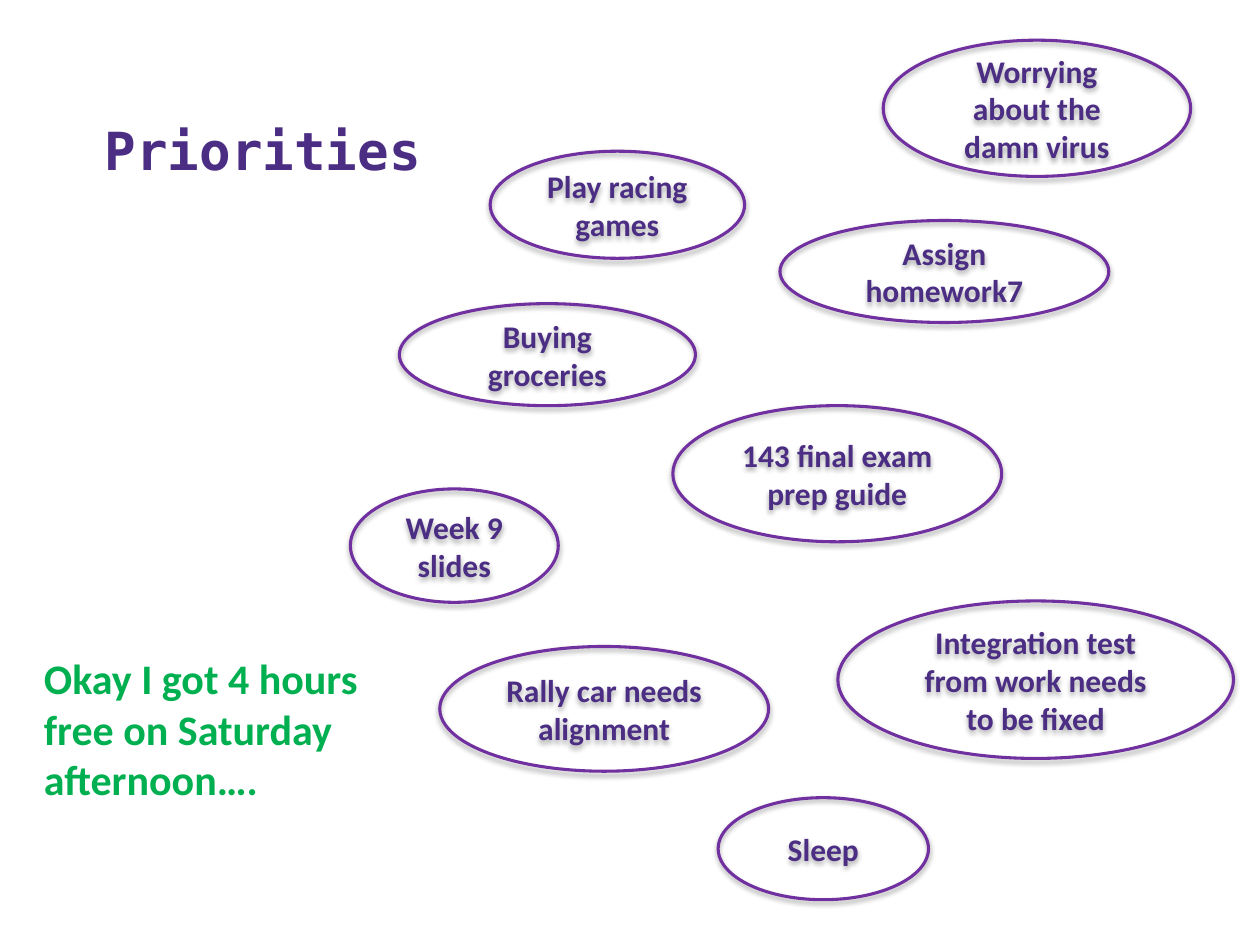
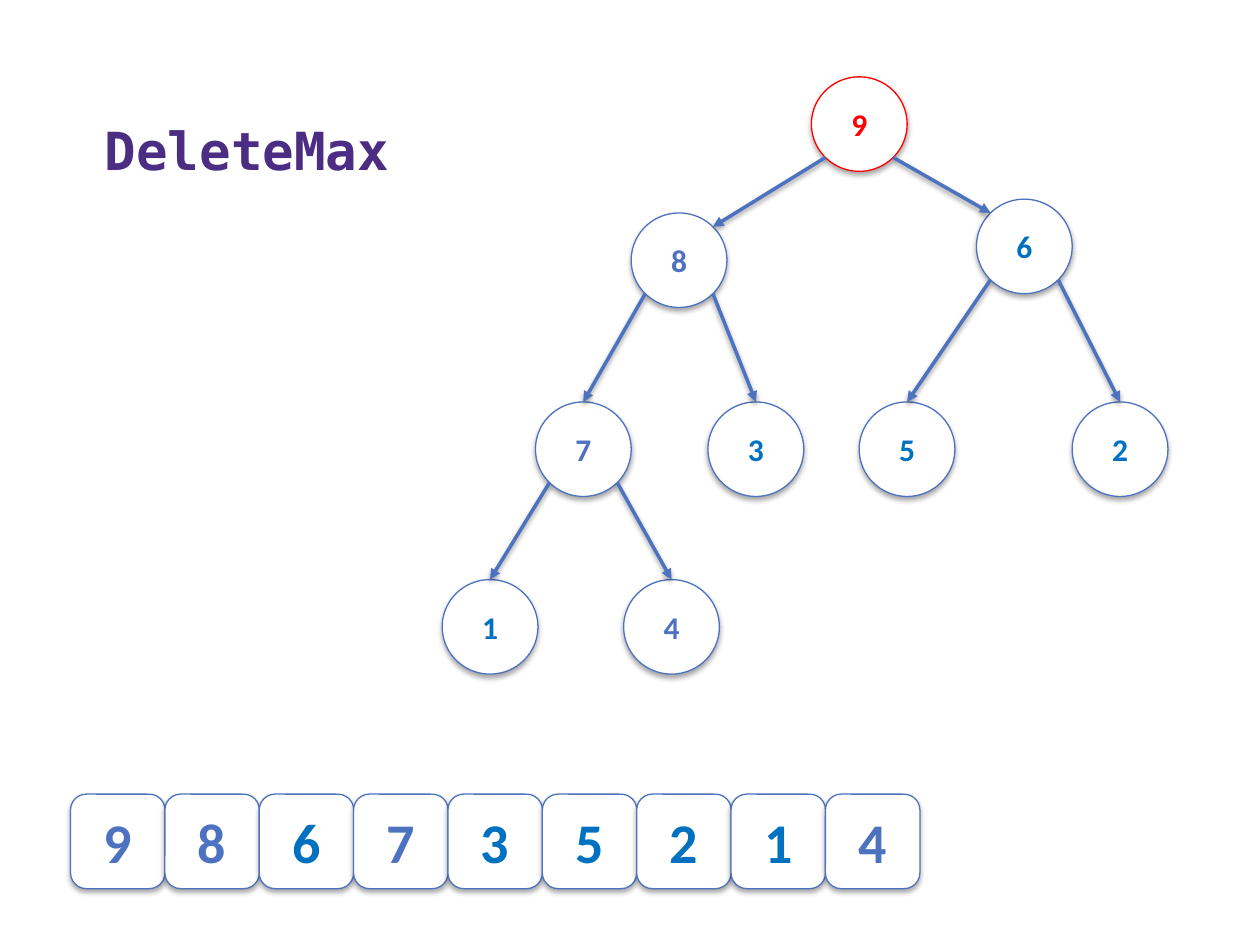
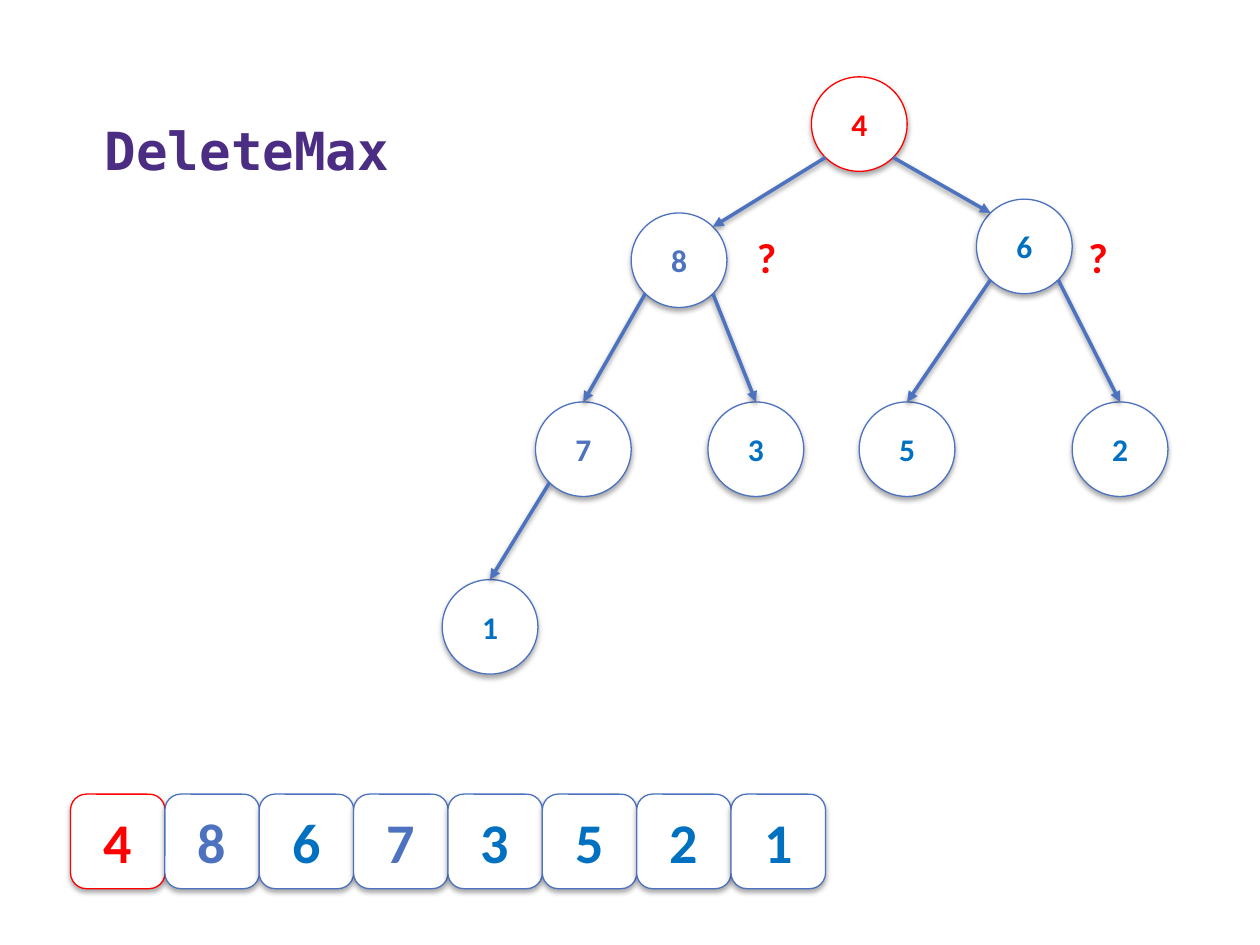
"""Build three slides about priorities and removing the maximum of a heap."""
import math
from dataclasses import dataclass

import pptx
import pptx.dml.color
import pptx.enum.shapes
import pptx.enum.text
import pptx.oxml
import pptx.oxml.ns
import pptx.presentation
import pptx.shapes.autoshape
import pptx.shapes.base
import pptx.slide
import pptx.text.text
import pptx.util

PURPLE = "4B2E83"
OUTLINE_PURPLE = "7030A0"
BLUE = "4D72BF"
BRIGHT_BLUE = "0070C0"
RED = "FF0000"
GREEN = "00B050"
WHITE = "FFFFFF"
BODY_FONT = "Calibri"
TITLE_FONT = "DejaVu Sans Mono"

NODE_WIDTH, NODE_HEIGHT = 54.7, 54
CELL_SIZE, CELL_PITCH = 54, 53.92
CELLS_LEFT, CELLS_TOP = 40.3, 453.8
LEVEL_TWO, LEVEL_THREE = 229.7, 331.2
NODE_PLACES = (
    (463.7, 43.9),
    (360.7, 121.7), (558, 113.8),
    (306, LEVEL_TWO), (404.6, LEVEL_TWO), (491, LEVEL_TWO), (612.7, LEVEL_TWO),
    (252.7, LEVEL_THREE), (356.4, LEVEL_THREE),
)
SIFTED_VALUES = "9874"

Shapes = pptx.enum.shapes.MSO_SHAPE
Anchor = pptx.enum.text.MSO_ANCHOR
Align = pptx.enum.text.PP_ALIGN
AutoSize = pptx.enum.text.MSO_AUTO_SIZE


@dataclass(frozen=True)
class Box:
    """A rectangle in points."""
    left: float
    top: float
    width: float
    height: float

    def lengths(self) -> tuple[pptx.util.Pt, ...]:
        """Return the four measures as lengths."""
        return tuple(pptx.util.Pt(value) for value in (self.left, self.top, self.width, self.height))

    def diagonal_point(self, horizontal: int, vertical: int) -> tuple[float, float]:
        """Return the point at 45 degrees on the inscribed ellipse."""
        reach = math.sqrt(0.5)
        return (self.left + self.width / 2 * (1 + horizontal * reach),
                self.top + self.height / 2 * (1 + vertical * reach))


@dataclass(frozen=True)
class Task:
    """A task and the box of its bubble."""
    text: str
    box: Box


TASKS = (
    Task("Assign homework7", Box(445.7, 126, 187.9, 58.3)),
    Task("143 final exam prep guide", Box(384.5, 231.8, 187.9, 77.8)),
    Task("Integration test from work needs to be fixed", Box(478.8, 343.4, 226.1, 90)),
    Task("Buying groceries", Box(228.2, 173.5, 169.2, 58.3)),
    Task("Rally car needs alignment", Box(251.3, 369.4, 187.9, 71.3)),
    Task("Week 9 slides", Box(200.2, 279.4, 118.8, 64.8)),
    Task("Play racing games", Box(280.1, 86.4, 145.4, 61.2)),
    Task("Sleep", Box(410.4, 455.8, 120.2, 58.3)),
    Task("Worrying about the damn virus", Box(504.7, 23, 175.7, 77.8)),
)


def color(value: str) -> pptx.dml.color.RGBColor:
    """Turn a hex string into a colour."""
    return pptx.dml.color.RGBColor.from_string(value)


def write(frame: pptx.text.text.TextFrame, text: str, *, size: float, ink: str,
          font: str = BODY_FONT, align: Align = Align.LEFT, anchor: Anchor = Anchor.TOP,
          wrap: bool = True, fit: AutoSize = AutoSize.NONE) -> None:
    """Put bold text into a frame and format it."""
    frame.auto_size = fit
    frame.word_wrap = wrap
    frame.vertical_anchor = anchor
    paragraph = frame.paragraphs[0]
    paragraph.alignment = align
    run = paragraph.add_run()
    run.text = text
    run.font.name = font
    run.font.size = pptx.util.Pt(size)
    run.font.bold = True
    run.font.color.rgb = color(ink)


def cast_shadow(shape: pptx.shapes.base.BaseShape, opacity: int, distance: float) -> None:
    """Give a shape or connector a soft shadow straight below it."""
    shape._element.spPr.append(pptx.oxml.parse_xml(
        f'<a:effectLst {pptx.oxml.ns.nsdecls("a")}>'
        f'<a:outerShdw blurRad="{pptx.util.Pt(3.1)}" dist="{pptx.util.Pt(distance)}" '
        f'dir="5400000" rotWithShape="0"><a:srgbClr val="000000">'
        f'<a:alpha val="{opacity * 1000}"/></a:srgbClr></a:outerShdw></a:effectLst>'))


def add_labelled_shape(slide: pptx.slide.Slide, kind: Shapes, box: Box, text: str, *,
                       size: float, ink: str, line: str, line_width: float = 0.75,
                       fill: str | None = WHITE) -> pptx.shapes.autoshape.Shape:
    """Draw an outlined shape with centred text and a shadow."""
    shape = slide.shapes.add_shape(kind, *box.lengths())
    if fill:
        shape.fill.solid()
        shape.fill.fore_color.rgb = color(fill)
    else:
        shape.fill.background()
    shape.line.color.rgb = color(line)
    shape.line.width = pptx.util.Pt(line_width)
    cast_shadow(shape, 35, 1.8)
    write(shape.text_frame, text, size=size, ink=ink, align=Align.CENTER, anchor=Anchor.MIDDLE)
    return shape


def add_text(slide: pptx.slide.Slide, box: Box, text: str, ink: str, wrap: bool) -> None:
    """Add a free text box."""
    text_box = slide.shapes.add_textbox(*box.lengths())
    write(text_box.text_frame, text, size=24, ink=ink, wrap=wrap, fit=AutoSize.SHAPE_TO_FIT_TEXT)


def add_titled_slide(presentation: pptx.presentation.Presentation, title: str) -> pptx.slide.Slide:
    """Add a title-only slide with the shared title style."""
    slide = presentation.slides.add_slide(presentation.slide_layouts[5])
    placeholder = slide.shapes.title
    placeholder.left, placeholder.top, placeholder.width, placeholder.height = (
        Box(52.6, 29.5, 644.4, 77.8).lengths())
    write(placeholder.text_frame, title, size=30, ink=PURPLE, font=TITLE_FONT, anchor=Anchor.BOTTOM)
    return slide


def add_branch(slide: pptx.slide.Slide, parent: Box, child: Box,
               child_shape: pptx.shapes.autoshape.Shape, side: int, from_root: bool) -> None:
    """Draw the arrow from a parent node to its child on the given side."""
    start = parent.diagonal_point(side, 1)
    end = child.diagonal_point(-side, -1)
    connector = slide.shapes.add_connector(
        pptx.enum.shapes.MSO_CONNECTOR.STRAIGHT, *(pptx.util.Pt(value) for value in start + end))
    if not from_root:
        connector.end_connect(child_shape, 0)
    connector.line.color.rgb = color(BLUE)
    connector.line.width = pptx.util.Pt(2)
    connector._element.spPr.find(pptx.oxml.ns.qn("a:ln")).append(pptx.oxml.parse_xml(
        f'<a:tailEnd {pptx.oxml.ns.nsdecls("a")} type="triangle"/>'))
    cast_shadow(connector, 38, 1.6)


def value_ink(value: str) -> str:
    """Return the text colour of a heap value."""
    return BLUE if value in SIFTED_VALUES else BRIGHT_BLUE


def add_tree(slide: pptx.slide.Slide, heap: str) -> None:
    """Draw a heap, given in level order, as a binary tree with a red root."""
    boxes = [Box(left, top, NODE_WIDTH, NODE_HEIGHT) for left, top in NODE_PLACES]
    nodes = [
        add_labelled_shape(slide, Shapes.OVAL, boxes[index], value, size=18,
                           ink=value_ink(value) if index else RED, line=BLUE if index else RED)
        for index, value in enumerate(heap)
    ]
    for index in range(1, len(heap)):
        parent = (index - 1) // 2
        side = -1 if index % 2 else 1
        add_branch(slide, boxes[parent], boxes[index], nodes[index], side, parent == 0)


def add_array(slide: pptx.slide.Slide, heap: str, red_first: bool) -> None:
    """Draw the heap as a row of cells."""
    for index, value in enumerate(heap):
        is_red = red_first and index == 0
        box = Box(CELLS_LEFT + index * CELL_PITCH, CELLS_TOP, CELL_SIZE, CELL_SIZE)
        add_labelled_shape(slide, Shapes.ROUNDED_RECTANGLE, box, value, size=32,
                           ink=RED if is_red else value_ink(value), line=RED if is_red else BLUE)


def add_heap_slide(presentation: pptx.presentation.Presentation, heap: str,
                   root_replaced: bool) -> None:
    """Add one step of removing the maximum."""
    slide = add_titled_slide(presentation, "DeleteMax")
    add_tree(slide, heap)
    add_array(slide, heap, root_replaced)
    if root_replaced:
        for left in (425.5, 614.9):
            add_text(slide, Box(left, 128.9, 25.9, 36), "?", RED, wrap=False)


def add_priorities_slide(presentation: pptx.presentation.Presentation) -> None:
    """Add the slide with the task bubbles."""
    slide = add_titled_slide(presentation, "Priorities")
    for task in TASKS:
        add_labelled_shape(slide, Shapes.OVAL, task.box, task.text, size=18, ink=PURPLE,
                           line=OUTLINE_PURPLE, line_width=1.75, fill=None)
    add_text(slide, Box(18, 369.4, 213.1, 94.3),
             "Okay I got 4 hours free on Saturday afternoon….", GREEN, wrap=True)


def main() -> None:
    """Build and save the presentation."""
    presentation = pptx.Presentation()
    presentation.slide_width = pptx.util.Pt(720)
    presentation.slide_height = pptx.util.Pt(540)
    add_priorities_slide(presentation)
    add_heap_slide(presentation, "986735214", root_replaced=False)
    add_heap_slide(presentation, "48673521", root_replaced=True)
    presentation.save("out.pptx")


if __name__ == "__main__":
    main()
